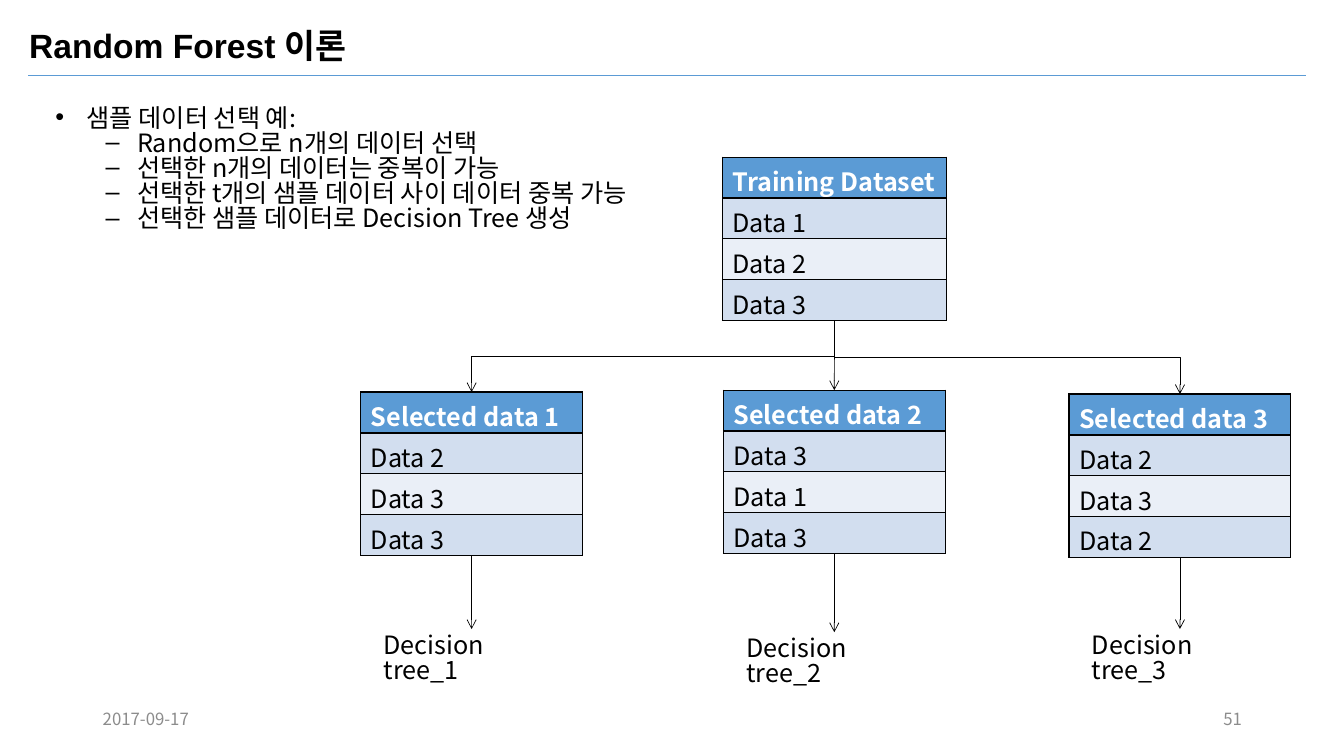
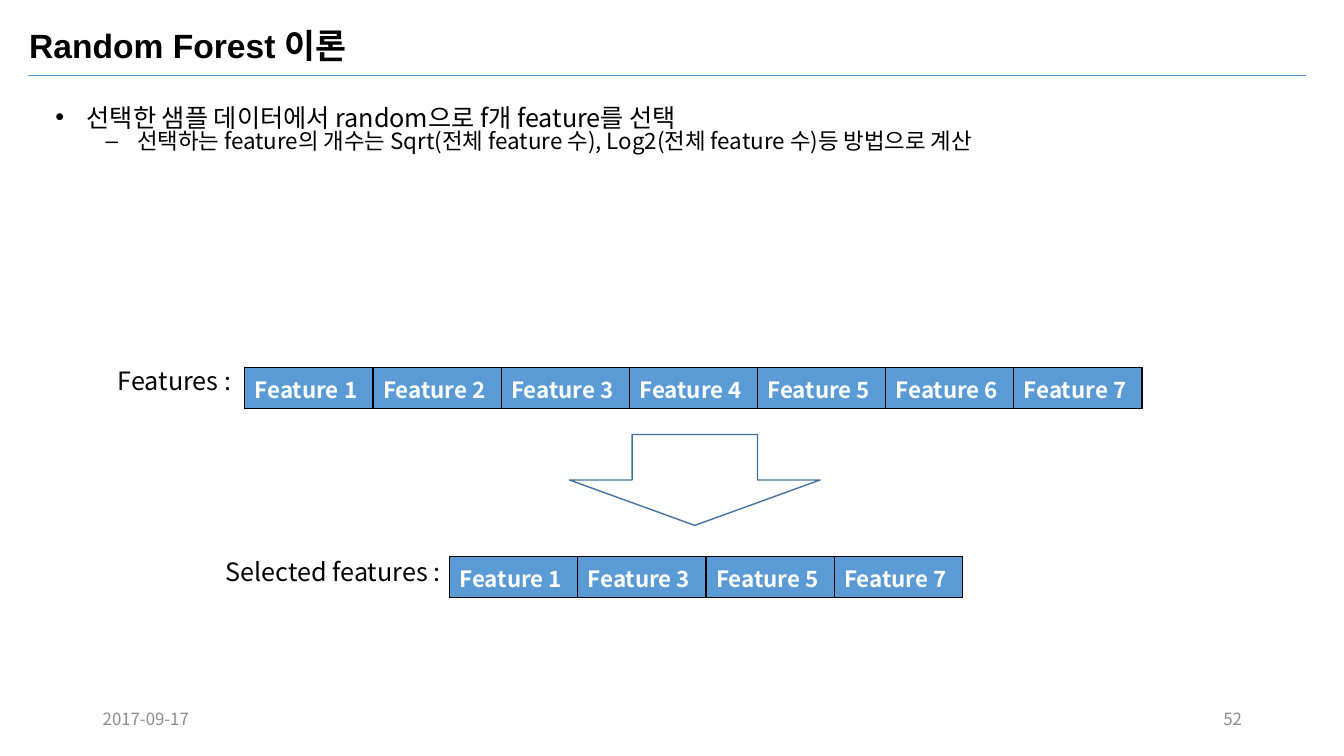
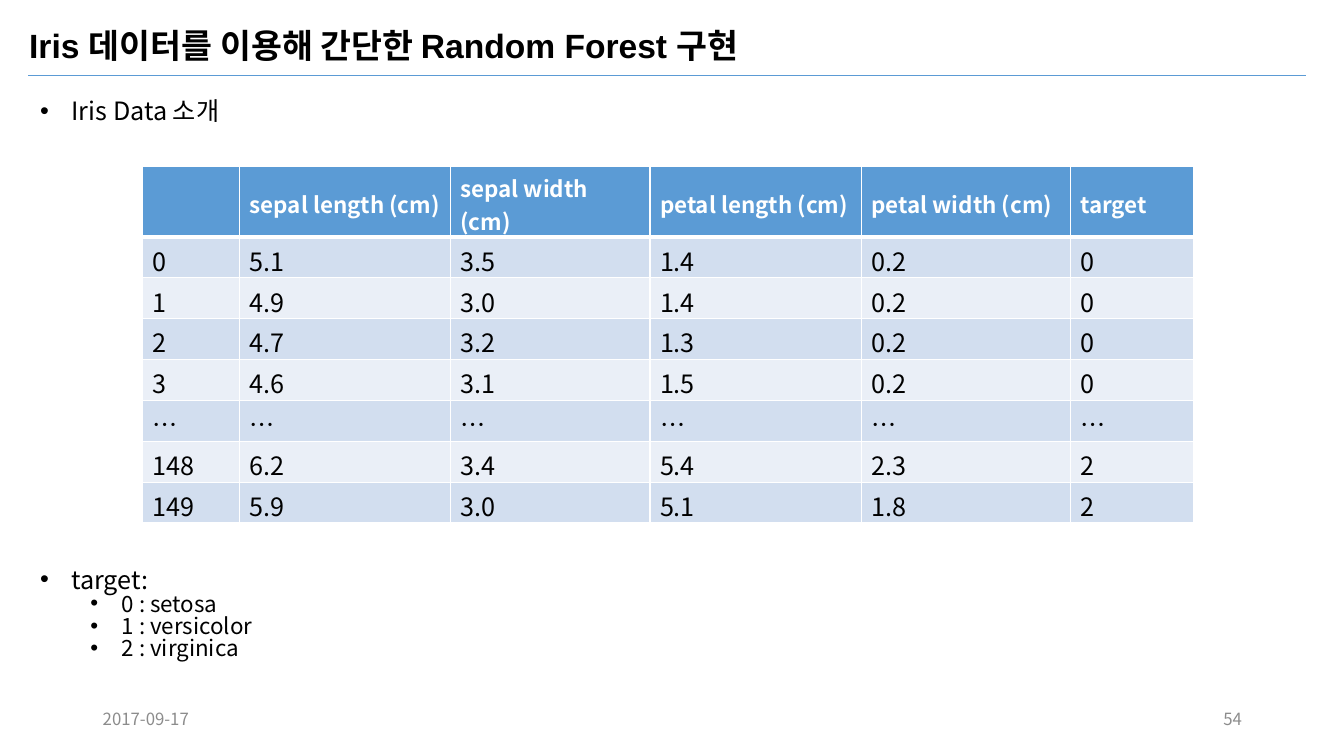
from lxml.etree import SubElement
from pptx import Presentation
from pptx.dml.color import RGBColor
from pptx.enum.shapes import MSO_CONNECTOR, MSO_SHAPE
from pptx.enum.text import MSO_ANCHOR, MSO_AUTO_SIZE, PP_ALIGN
from pptx.oxml.ns import qn
from pptx.util import Cm, Pt

BODY_FONT, TITLE_FONT = "Noto Sans CJK KR", "Arial"
BLACK, WHITE, GREY = "000000", "FFFFFF", "8C8C8C"
BLUE, DARK_BLUE = "5B9BD5", "43739E"
BANDS = ["D2DEEF", "EAEFF7"]
ROW_HEIGHT = 1.03
LIST_SPACING = 0.83


def rgb(color):
    return RGBColor.from_string(color)


def style(para, size, color=BLACK, bold=False, name=BODY_FONT):
    font = para.font
    font.size, font.bold, font.name = Pt(size), bold, name
    font.color.rgb = rgb(color)
    properties = para._p.pPr.find(qn("a:defRPr"))
    SubElement(properties, qn("a:ea"), typeface=BODY_FONT)


def place(shape, left, top, width, height):
    shape.left, shape.top = Cm(left), Cm(top)
    shape.width, shape.height = Cm(width), Cm(height)


def add_text(page, box, text, size=18, color=BLACK, align=PP_ALIGN.LEFT,
             anchor=MSO_ANCHOR.TOP):
    label = page.shapes.add_textbox(*map(Cm, box))
    frame = label.text_frame
    frame.word_wrap, frame.vertical_anchor = True, anchor
    para = frame.paragraphs[0]
    para.text, para.alignment, para.line_spacing = text, align, LIST_SPACING
    style(para, size, color)
    return label


def fill_list(shape, box, heading, items=(), item_size=18, item_bullet="–"):
    """Write one bulleted heading with indented items below it."""
    place(shape, *box)
    frame = shape.text_frame
    frame.word_wrap, frame.auto_size = True, MSO_AUTO_SIZE.NONE
    for index, text in enumerate([heading, *items]):
        para = frame.add_paragraph() if index else frame.paragraphs[0]
        para.text, para.level = text, min(index, 1)
        para.line_spacing, para.space_before = LIST_SPACING, Pt(0)
        properties = para._p.get_or_add_pPr()
        properties.set("marL", str(Cm(2.06 if index else 0.79)))
        properties.set("indent", str(Cm(-0.79)))
        SubElement(properties, qn("a:buFont"), typeface="Arial")
        SubElement(properties, qn("a:buChar"), char=item_bullet if index else "•")
        style(para, item_size if index else 18)


def set_borders(cell, color, top=1, bottom=1):
    properties = cell._tc.get_or_add_tcPr()
    sides = [("L", 1), ("R", 1), ("T", top), ("B", bottom)]
    for index, (side, width) in enumerate(sides):
        line = SubElement(properties, qn(f"a:ln{side}"), w=str(Pt(width)))
        fill = SubElement(line, qn("a:solidFill"))
        SubElement(fill, qn("a:srgbClr"), val=color)
        properties.insert(index, line)


def add_grid(page, left, top, widths, rows, header_size=18, border=BLACK,
             header_height=ROW_HEIGHT, header_rule=1, anchor=MSO_ANCHOR.TOP):
    """Add a table with a blue header row and banded rows below it."""
    heights = [header_height] + [ROW_HEIGHT] * (len(rows) - 1)
    frame = page.shapes.add_table(len(rows), len(widths), Cm(left), Cm(top),
                                  Cm(sum(widths)), Cm(sum(heights)))
    table = frame.table
    for column, width in zip(table.columns, widths):
        column.width = Cm(width)
    for index, (values, height) in enumerate(zip(rows, heights)):
        header = index == 0
        table.rows[index].height = Cm(height)
        for cell, value in zip(table.rows[index].cells, values):
            cell.fill.solid()
            cell.fill.fore_color.rgb = rgb(BLUE if header else BANDS[(index - 1) % 2])
            cell.margin_bottom, cell.vertical_anchor = 0, anchor
            set_borders(cell, border, top=header_rule if index == 1 else 1,
                        bottom=header_rule if header else 1)
            para = cell.text_frame.paragraphs[0]
            para.text = value
            style(para, header_size if header else 18,
                  WHITE if header else BLACK, bold=header)
    return frame


def add_line(page, start, end, color=BLACK, arrow=True, kind=MSO_CONNECTOR.STRAIGHT):
    line = page.shapes.add_connector(kind, *map(Cm, (*start, *end)))
    line.line.color.rgb, line.line.width = rgb(color), Pt(0.5)
    properties = line._element.spPr
    if arrow:
        SubElement(properties.find(qn("a:ln")), qn("a:tailEnd"), type="arrow")
    SubElement(properties, qn("a:effectLst"))
    return line


def join(page, upper, lower):
    arrow = add_line(page, (0, 0), (1, 1))
    arrow.begin_connect(upper, 2)
    arrow.end_connect(lower, 0)


def add_elbow(page, start, end):
    """Add an arrow that runs down, across and down again."""
    (x1, y1), (x2, y2) = start, end
    across, down = abs(x2 - x1), y2 - y1
    elbow = add_line(page, start, end, kind=MSO_CONNECTOR.ELBOW)
    place(elbow, (x1 + x2 - down) / 2, (y1 + y2 - across) / 2, down, across)
    transform = elbow._element.spPr.find(qn("a:xfrm"))
    rightward = x2 > x1
    transform.set("rot", str((270 if rightward else 90) * 60000))
    transform.set("flipH", "1" if rightward else "0")


def add_page(deck, title, number):
    page = deck.slides.add_slide(deck.slide_layouts[1])
    place(page.shapes.title, 0.48, 0.61, 33.39, 1.27)
    frame = page.shapes.title.text_frame
    frame.vertical_anchor, frame.auto_size = MSO_ANCHOR.TOP, MSO_AUTO_SIZE.NONE
    para = frame.paragraphs[0]
    para.text, para.alignment, para.line_spacing = title, PP_ALIGN.LEFT, 0.9
    style(para, 24, bold=True, name=TITLE_FONT)
    footers = [(2.34, "2017-09-17", PP_ALIGN.LEFT), (23.93, number, PP_ALIGN.RIGHT)]
    for left, text, align in footers:
        add_text(page, (left, 17.65, 7.62, 1.02), text, 12, GREY, align,
                 MSO_ANCHOR.MIDDLE)
    return page


def add_sampling_page(deck):
    page = add_page(deck, "Random Forest 이론", "51")
    fill_list(page.placeholders[1], (1.14, 2.57, 30.96, 4.11), "샘플 데이터 선택 예:", [
        "Random으로 n개의 데이터 선택",
        "선택한 n개의 데이터는 중복이 가능",
        "선택한 t개의 샘플 데이터 사이 데이터 중복 가능",
        "선택한 샘플 데이터로 Decision Tree 생성",
    ])
    training = add_grid(page, 18.21, 3.96, [5.64],
                        [["Training Dataset"], ["Data 1"], ["Data 2"], ["Data 3"]])
    source = (21.03, 3.96 + 4 * ROW_HEIGHT)
    width = 5.59
    samples = [(9.09, 9.88, 15.85, (2, 3, 3)),
               (18.23, 9.83, 15.93, (3, 1, 3)),
               (26.94, 9.93, 15.85, (2, 3, 2))]
    for number, (left, top, tree_top, picks) in enumerate(samples, 1):
        rows = [[f"Selected data {number}"], *([f"Data {pick}"] for pick in picks)]
        sample = add_grid(page, left, top, [width], rows)
        tree = add_text(page, (left + 0.33, tree_top, width - 0.66, 1.02),
                        f"Decision tree_{number}")
        tree.text_frame.margin_right = Cm(1.2)
        join(page, sample, tree)
        if number == 2:
            join(page, training, sample)
        else:
            add_elbow(page, source, (left + width / 2, top))


def add_feature_row(page, left, top, numbers):
    add_grid(page, left, top, [3.23] * len(numbers),
             [[f"Feature {number}" for number in numbers]], header_size=16)


def add_features_page(deck):
    page = add_page(deck, "Random Forest 이론", "52")
    fill_list(page.placeholders[1], (1.14, 2.57, 30.96, 1.7),
              "선택한 샘플 데이터에서 random으로 f개 feature를 선택",
              ["선택하는 feature의 개수는 Sqrt(전체 feature 수), "
               "Log2(전체 feature 수)등 방법으로 계산"], item_size=16)
    add_text(page, (2.72, 9.22, 3.53, 1.02), "Features :")
    add_feature_row(page, 6.17, 9.27, range(1, 8))
    arrow = page.shapes.add_shape(MSO_SHAPE.DOWN_ARROW, Cm(14.35), Cm(10.95),
                                  Cm(6.32), Cm(2.29))
    arrow.shadow.inherit = False
    arrow.fill.background()
    arrow.line.color.rgb, arrow.line.width = rgb(DARK_BLUE), Pt(1)
    add_text(page, (5.44, 14.02, 6.1, 1.02), "Selected features :")
    add_feature_row(page, 11.33, 14.02, range(1, 8, 2))


def add_iris_page(deck):
    page = add_page(deck, "Iris 데이터를 이용해 간단한 Random Forest 구현", "54")
    fill_list(page.placeholders[1], (0.76, 2.41, 32.13, 1.02), "Iris Data 소개")
    rows = [
        ["", "sepal length (cm)", "sepal width (cm)", "petal length (cm)",
         "petal width (cm)", "target"],
        ["0", "5.1", "3.5", "1.4", "0.2", "0"],
        ["1", "4.9", "3.0", "1.4", "0.2", "0"],
        ["2", "4.7", "3.2", "1.3", "0.2", "0"],
        ["3", "4.6", "3.1", "1.5", "0.2", "0"],
        ["…"] * 6,
        ["148", "6.2", "3.4", "5.4", "2.3", "2"],
        ["149", "5.9", "3.0", "5.1", "1.8", "2"],
    ]
    add_grid(page, 3.58, 4.19, [2.46, 5.31, 5.03, 5.33, 5.26, 3.1], rows,
             header_size=16, border=WHITE, header_height=1.78, header_rule=3,
             anchor=MSO_ANCHOR.MIDDLE)
    target = page.shapes.add_textbox(0, 0, 0, 0)
    fill_list(target, (0.76, 14.22, 5.92, 3.76), "target:",
              ["0 : setosa", "1 : versicolor", "2 : virginica"],
              item_size=16, item_bullet="•")


def add_master_rule(deck):
    """Draw the title rule once and move it to the slide master."""
    rule = add_line(deck.slides[0], (0.71, 1.9), (32.92, 1.9), BLUE, arrow=False)
    deck.slide_master.shapes._spTree.append(rule._element)


def main():
    deck = Presentation()
    deck.slide_width, deck.slide_height = Cm(33.87), Cm(19.05)
    add_sampling_page(deck)
    add_features_page(deck)
    add_iris_page(deck)
    add_master_rule(deck)
    deck.save("out.pptx")


if __name__ == "__main__":
    main()
